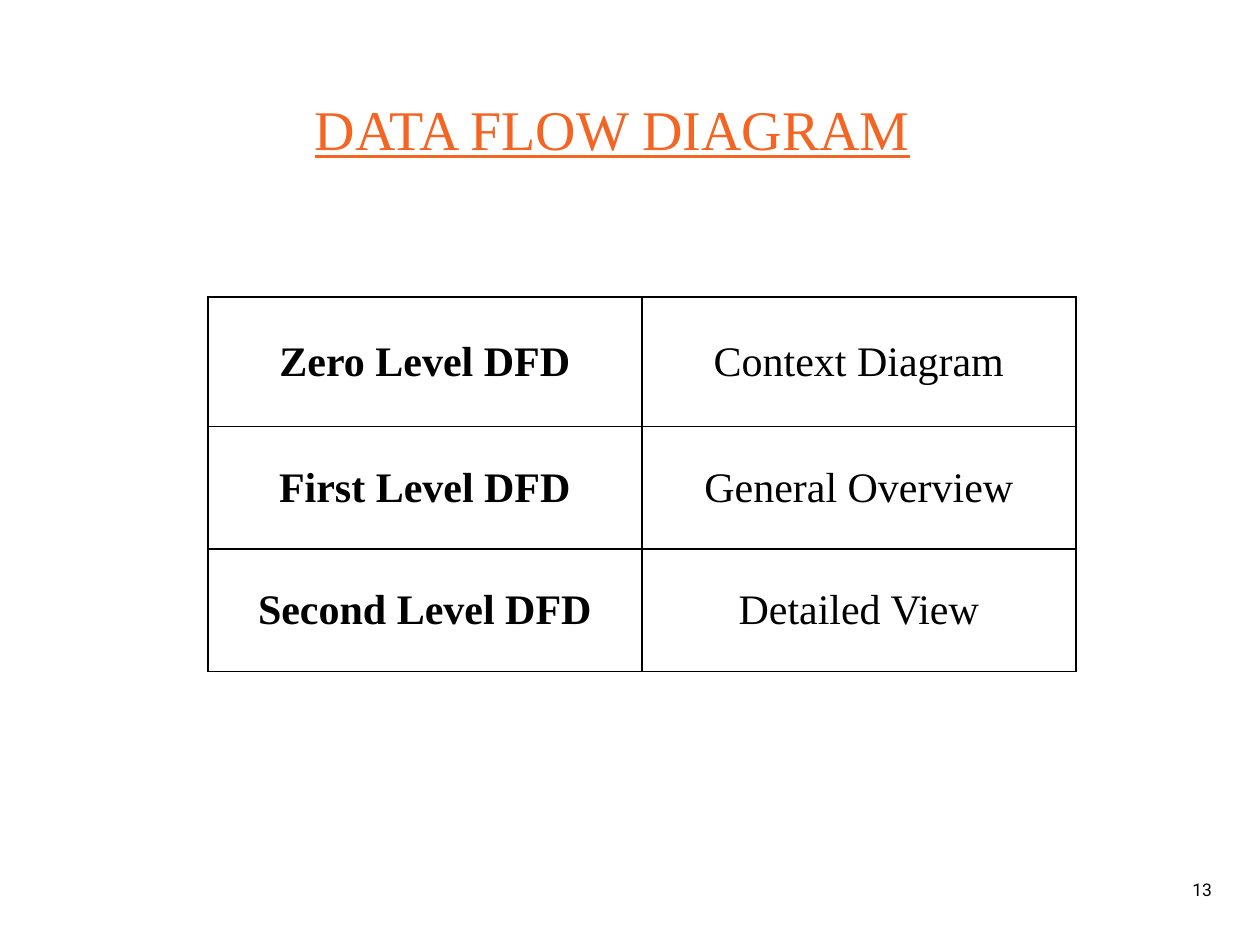
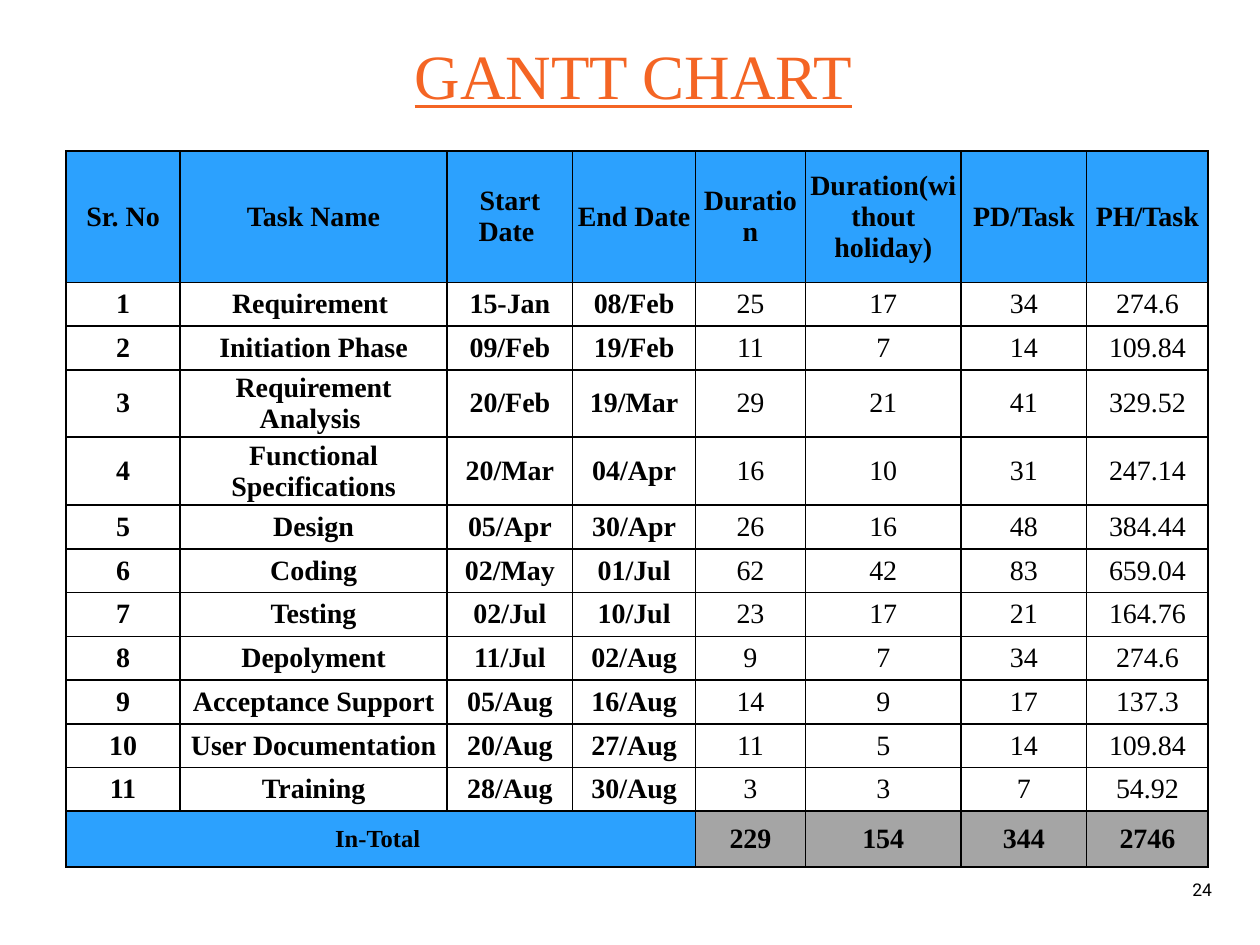
from lxml import etree
from pptx import Presentation
from pptx.dml.color import RGBColor
from pptx.enum.text import MSO_ANCHOR, PP_ALIGN
from pptx.oxml.ns import qn
from pptx.util import Pt

CENTER = PP_ALIGN.CENTER
MIDDLE = MSO_ANCHOR.MIDDLE
HUES = {"title": "F46524", "ink": "000000", "head": "2CA1FE",
        "sum": "A5A5A5", "plain": "FFFFFF"}
SERIF, SANS = "Times New Roman", "Roboto"
SIDES = ("L", "R", "T", "B")

LEVELS = [
    ("Zero Level DFD", "Context Diagram"),
    ("First Level DFD", "General Overview"),
    ("Second Level DFD", "Detailed View"),
]

HEADS = ("Sr. No", "Task Name", "Start Date ", "End Date", "Duration",
         "Duration(without holiday)", "PD/Task", "PH/Task")
TASKS = [
    ("Requirement ", "15-Jan", "08/Feb", "25", "17", "34", "274.6"),
    ("Initiation Phase", "09/Feb", "19/Feb", "11", "7", "14", "109.84"),
    ("Requirement Analysis ", "20/Feb", "19/Mar", "29", "21", "41", "329.52"),
    ("Functional Specifications", "20/Mar", "04/Apr", "16", "10", "31", "247.14"),
    ("Design", "05/Apr", "30/Apr", "26", "16", "48", "384.44"),
    ("Coding", "02/May", "01/Jul", "62", "42", "83", "659.04"),
    ("Testing", "02/Jul", "10/Jul", "23", "17", "21", "164.76"),
    ("Depolyment", "11/Jul", "02/Aug", "9", "7", "34", "274.6"),
    ("Acceptance Support", "05/Aug", "16/Aug", "14", "9", "17", "137.3"),
    ("User Documentation", "20/Aug", "27/Aug", "11", "5", "14", "109.84"),
    ("Training", "28/Aug", "30/Aug", "3", "3", "7", "54.92"),
]
TOTALS = ("229", "154", "344", "2746")


class Deck:
    """Holds the shared style and the current slide."""

    def __init__(self):
        self.prs = Presentation()
        self.prs.slide_width, self.prs.slide_height = Pt(720), Pt(540)
        self.slide = None

    def start(self, title, left, top, size, number):
        """Add a slide with its title and page number."""
        self.slide = self.prs.slides.add_slide(self.prs.slide_layouts[6])
        para = self.text(title, (left, top, 612, 126.7), "title",
                         size=Pt(size), name=SERIF, underline=True)
        para.line_spacing = 0.9
        self.text(number, (668.2, 494, 37.4, 28.8), "ink", size=Pt(10), name=SANS)

    def text(self, words, box, hue, **form):
        frame = self.slide.shapes.add_textbox(*map(Pt, box)).text_frame
        frame.word_wrap = True
        frame.vertical_anchor = MIDDLE
        return self.label(frame, words, hue, form)

    def label(self, frame, words, hue, form):
        """Put one centred, formatted run into a text frame."""
        para = frame.paragraphs[0]
        para.alignment = CENTER
        run = para.add_run()
        run.text = words
        for key, value in form.items():
            setattr(run.font, key, value)
        run.font.color.rgb = RGBColor.from_string(HUES[hue])
        return para

    def table(self, left, top, cols, rows):
        """Add an unstyled table with the given widths and heights."""
        grid = self.slide.shapes.add_table(
            len(rows), len(cols), *map(Pt, (left, top, sum(cols), sum(rows)))).table
        grid.first_row = grid.horz_banding = False
        for col, width in zip(grid.columns, cols):
            col.width = Pt(width)
        for row, height in zip(grid.rows, rows):
            row.height = Pt(height)
        return grid

    def cell(self, cell, words, size, bold, fill="plain", pad=None):
        cell.vertical_anchor = MIDDLE
        if pad is not None:
            cell.margin_left = cell.margin_right = Pt(pad)
            cell.margin_top = cell.margin_bottom = 0
        self.edge(cell)
        cell.fill.solid()
        cell.fill.fore_color.rgb = RGBColor.from_string(HUES[fill])
        if words:
            self.label(cell.text_frame, words, "ink",
                       {"size": Pt(size), "name": SERIF, "bold": bold})

    def edge(self, cell):
        """Draw a thin line on all four sides of a cell."""
        props = cell._tc.get_or_add_tcPr()
        for side in SIDES:
            line = etree.SubElement(props, qn(f"a:ln{side}"), w=str(Pt(1)))
            paint = etree.SubElement(line, qn("a:solidFill"))
            etree.SubElement(paint, qn("a:srgbClr"), val=HUES["ink"])


def levels(deck):
    deck.start("DATA FLOW DIAGRAM", 44, 12.2, 32, "13")
    grid = deck.table(118.8, 169.8, [248, 248], [74, 70, 70])
    for r, row in enumerate(LEVELS):
        for c, words in enumerate(row):
            deck.cell(grid.cell(r, c), words, 24, c == 0)


def gantt(deck):
    deck.start("GANTT CHART", 56, -18, 36, "24")
    cols = [65.2, 152.6, 71.8, 70.2, 62.8, 89, 71.8, 69.4]
    high = {3: 35.5, 4: 39}
    rows = [75] + [high.get(n, 25) for n in range(1, len(TASKS) + 1)] + [32]
    grid = deck.table(37.7, 86.4, cols, rows)
    lines = [HEADS]
    lines += [(str(n), *task) for n, task in enumerate(TASKS, 1)]
    lines.append(("In-Total ", "", "", "", *TOTALS))
    last = len(lines) - 1
    for r, line in enumerate(lines):
        for c, words in enumerate(line):
            named = c < 4
            if r == 0 or r == last and named:
                fill = "head"
            else:
                fill = "sum" if r == last else "plain"
            size = 14 if r == last and named else 16
            deck.cell(grid.cell(r, c), words, size, named or r in (0, last), fill, 2)
    grid.cell(last, 0).merge(grid.cell(last, 3))


def main():
    deck = Deck()
    levels(deck)
    gantt(deck)
    deck.prs.save("out.pptx")


if __name__ == "__main__":
    main()
